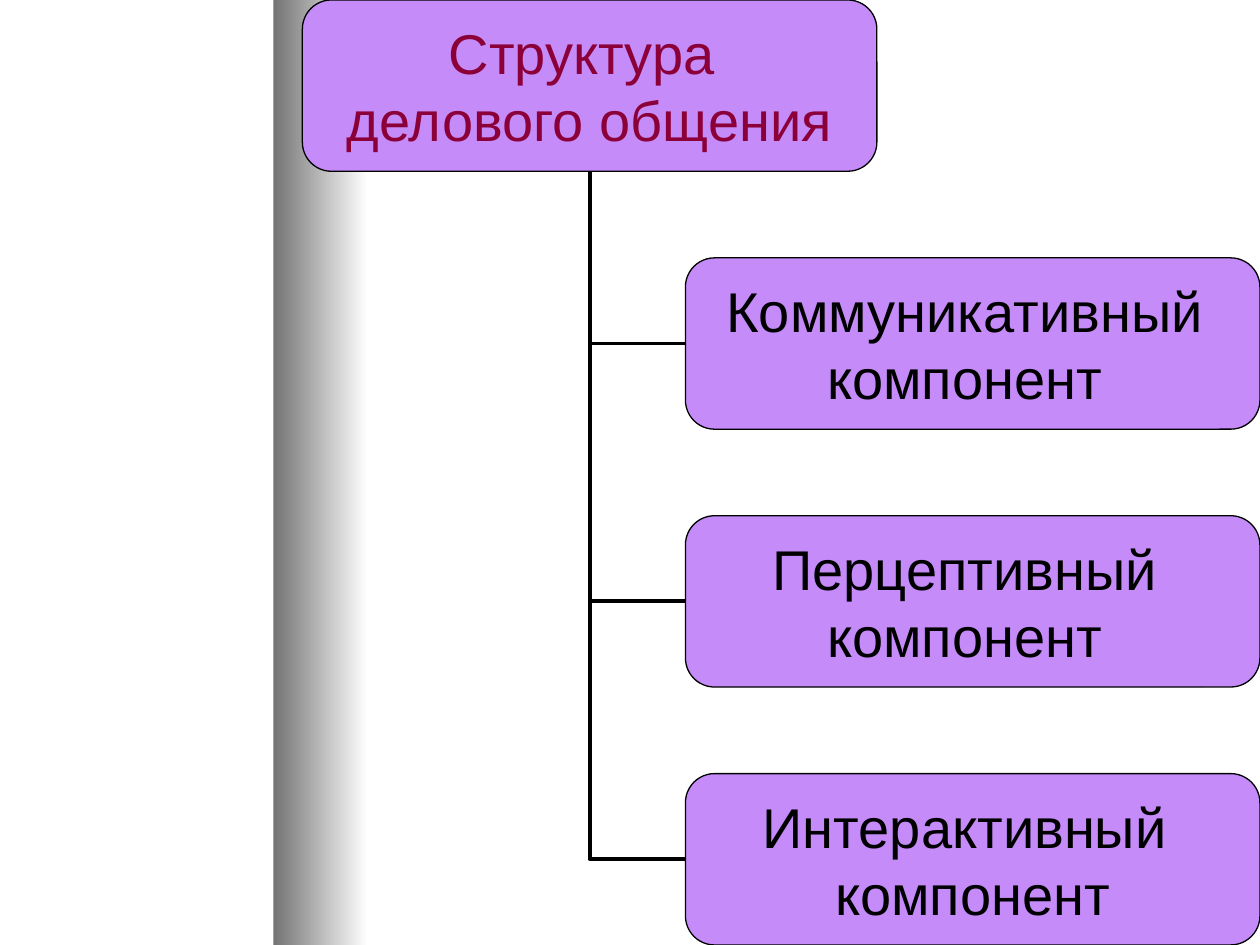
from pptx import Presentation
from pptx.dml.color import RGBColor
from pptx.enum.shapes import MSO_CONNECTOR, MSO_SHAPE
from pptx.enum.text import MSO_ANCHOR, PP_ALIGN
from pptx.oxml.ns import qn
from pptx.util import Inches, Pt
from lxml import etree


def color(code):
    return RGBColor.from_string(code)


WIDE, HIGH = 4.56, 1.36
STEP = (7.5 - HIGH) / 3

deck = Presentation()
deck.slide_width, deck.slide_height = Inches(10), Inches(7.5)
slide = deck.slides.add_slide(deck.slide_layouts[6])

# Shaded band on the left
band = slide.shapes.add_shape(
    MSO_SHAPE.RECTANGLE, Inches(2.17), 0, Inches(0.75), Inches(7.5))
band.shadow.inherit = False
band.line.fill.background()
band.fill.gradient()
band.fill.gradient_angle = 0
for stop, (place, shade) in zip(band.fill.gradient_stops,
                                [(0, "747474"), (1, "FFFFFF")]):
    stop.position = place
    stop.color.rgb = color(shade)

# Boxes: the root first, then its parts
items = [
    (2.4, "8C0039", ["Структура ", "делового общения"]),
    (10 - WIDE, "000000", ["Коммуникативный ", "компонент "]),
    (10 - WIDE, "000000", ["Перцептивный ", "компонент "]),
    (10 - WIDE, "000000", ["Интерактивный ", "компонент"]),
]
boxes = []
for row, (left, ink, lines) in enumerate(items):
    box = slide.shapes.add_shape(
        MSO_SHAPE.ROUNDED_RECTANGLE, Inches(left), Inches(row * STEP),
        Inches(WIDE), Inches(HIGH))
    box.shadow.inherit = False
    box.adjustments[0] = 0.17
    box.fill.solid()
    box.fill.fore_color.rgb = color("C58BF9")
    box.line.color.rgb = color("000000")
    box.line.width = Pt(0.75)
    frame = box.text_frame
    frame.word_wrap = False
    frame.vertical_anchor = MSO_ANCHOR.MIDDLE
    frame.margin_left = frame.margin_right = 0
    frame.margin_top = frame.margin_bottom = 0
    for num, line in enumerate(lines):
        para = frame.add_paragraph() if num else frame.paragraphs[0]
        para.alignment = PP_ALIGN.CENTER
        run = para.add_run()
        run.text = line
        run.font.name = "Arial"
        run.font.size = Pt(32)
        run.font.color.rgb = color(ink)
    boxes.append(box)

# Elbow lines from each part to the root
root, *parts = boxes
for part in parts:
    link = slide.shapes.add_connector(MSO_CONNECTOR.ELBOW, 0, 0, 0, 0)
    link.begin_connect(part, 1)
    link.end_connect(root, 2)
    link.line.color.rgb = color("000000")
    link.line.width = Pt(2.25)
    props = link._element.spPr
    props.find(qn("a:prstGeom")).set("prst", "bentConnector2")
    etree.SubElement(props, qn("a:effectLst"))

deck.save("out.pptx")
